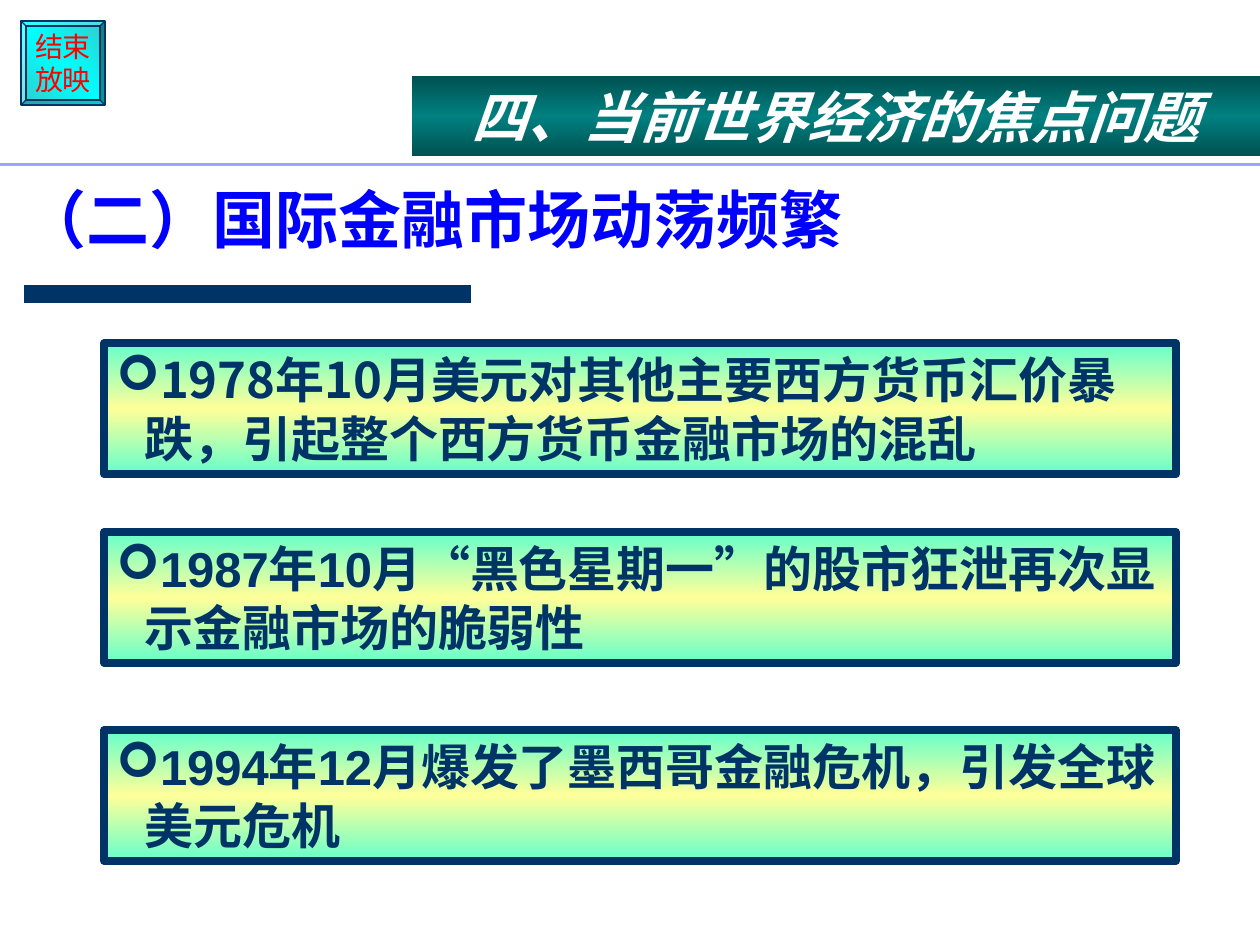
import copy
from dataclasses import dataclass

import pptx
import pptx.dml.color
import pptx.enum.shapes
import pptx.enum.text
import pptx.oxml
import pptx.oxml.ns
import pptx.util

Pt = pptx.util.Pt
Shape = pptx.enum.shapes.MSO_SHAPE
Align = pptx.enum.text.PP_ALIGN
Anchor = pptx.enum.text.MSO_ANCHOR
qn = pptx.oxml.ns.qn


@dataclass(frozen=True)
class Theme:
    navy: str = "003366"
    blue: str = "0000FF"
    red: str = "FF0000"
    white: str = "FFFFFF"
    rule: str = "9BA4FD"
    event_fill: tuple = ("66FFCC", "FFFF99", "66FFCC")
    banner_fill: tuple = ("005151", "008080", "005151")
    button_fill: tuple = ("33CCCC", "00FFFF", "33CCCC")
    cjk: str = "Noto Sans CJK SC"
    latin: str = "Arial"
    heading: int = 36
    banner: int = 32
    event: int = 28
    button: int = 16


THEME = Theme()


def rgb(color):
    return pptx.dml.color.RGBColor.from_string(color)


def write_text(shape, text, *, size, color, font=THEME.cjk, bold=True, italic=False,
               align=Align.LEFT, anchor=Anchor.TOP, wrap=True, before=0, spacing=None):
    frame = shape.text_frame
    frame.auto_size = pptx.enum.text.MSO_AUTO_SIZE.NONE
    frame.word_wrap = wrap
    frame.vertical_anchor = anchor
    frame.margin_left = frame.margin_right = Pt(7.2)
    frame.margin_top = frame.margin_bottom = Pt(3.6)
    frame.text = text
    for paragraph in frame.paragraphs:
        paragraph.alignment = align
        paragraph.space_before = Pt(before)
        paragraph.line_spacing = spacing
        for run in paragraph.runs:
            run.font.name = font
            run.font.size = Pt(size)
            run.font.bold = bold
            run.font.italic = italic
            run.font.color.rgb = rgb(color)
            east_asian = pptx.oxml.parse_xml(
                f'<a:ea {pptx.oxml.ns.nsdecls("a")} typeface="{THEME.cjk}"/>')
            run.font._element.find(qn("a:latin")).addnext(east_asian)


def add_bullet(paragraph, char, color, indent):
    properties = paragraph._p.get_or_add_pPr()
    properties.set("marL", str(Pt(indent)))
    properties.set("indent", str(-Pt(indent)))
    namespace = pptx.oxml.ns.nsdecls("a")
    for xml in (f'<a:buClr {namespace}><a:srgbClr val="{color}"/></a:buClr>',
                f'<a:buFont {namespace} typeface="Wingdings"/>',
                f'<a:buChar {namespace} char="{char}"/>'):
        properties.append(pptx.oxml.parse_xml(xml))


def add_gradient_shape(slide, kind, left, top, width, height, colors, angle=90,
                       line=None, line_width=0):
    shape = slide.shapes.add_shape(kind, Pt(left), Pt(top), Pt(width), Pt(height))
    shape.shadow.inherit = False
    shape.fill.gradient()
    shape.fill.gradient_angle = angle
    first_stop = shape._element.spPr.find(".//" + qn("a:gs"))
    first_stop.addnext(copy.deepcopy(first_stop))
    for stop, position, color in zip(shape.fill.gradient_stops, (0, 0.5, 1), colors):
        stop.position = position
        stop.color.rgb = rgb(color)
    if line:
        shape.line.color.rgb = rgb(line)
        shape.line.width = Pt(line_width)
    else:
        shape.line.fill.background()
    return shape


def add_rule(slide, left, right, y, color, width):
    rule = slide.shapes.add_connector(pptx.enum.shapes.MSO_CONNECTOR.STRAIGHT,
                                      Pt(left), Pt(y), Pt(right), Pt(y))
    rule.line.color.rgb = rgb(color)
    rule.line.width = Pt(width)
    rule._element.spPr.append(
        pptx.oxml.parse_xml(f'<a:effectLst {pptx.oxml.ns.nsdecls("a")}/>'))


def add_end_button(slide):
    button = add_gradient_shape(slide, Shape.BEVEL, 12, 12, 48, 48, THEME.button_fill,
                                angle=225, line=THEME.navy, line_width=0.75)
    button.adjustments[0] = 0.06
    write_text(button, "结束\n放映", size=THEME.button, color=THEME.red, font=THEME.latin,
               bold=False, align=Align.CENTER, anchor=Anchor.MIDDLE, wrap=False)


def add_heading(slide, text):
    heading = slide.shapes.title
    heading.left, heading.top = Pt(6), Pt(72)
    heading.width, heading.height = Pt(708.5), Pt(78.5)
    write_text(heading, text, size=THEME.heading, color=THEME.blue,
               anchor=Anchor.BOTTOM, spacing=0.9)


def add_banner(slide, text):
    banner = add_gradient_shape(slide, Shape.RECTANGLE, 235.5, 43.5, 484.5, 45.75,
                                THEME.banner_fill)
    write_text(banner, text, size=THEME.banner, color=THEME.white, italic=True,
               align=Align.CENTER, before=20)


def add_event(slide, top, text, font, before):
    event = add_gradient_shape(slide, Shape.RECTANGLE, 59.5, top, 612.5, 74.75,
                               THEME.event_fill, line=THEME.navy, line_width=4.5)
    write_text(event, text, size=THEME.event, color=THEME.navy, font=font, before=before)
    add_bullet(event.text_frame.paragraphs[0], "➢", THEME.navy, indent=16)


def main():
    deck = pptx.Presentation()
    deck.slide_width, deck.slide_height = Pt(720), Pt(540)
    slide = deck.slides.add_slide(deck.slide_layouts[5])

    add_rule(slide, 14, 269, 168, THEME.navy, 10)
    add_end_button(slide)
    add_heading(slide, "（二）国际金融市场动荡频繁")
    add_banner(slide, "四、当前世界经济的焦点问题")
    add_rule(slide, 0, 720, 94.25, THEME.rule, 1.75)

    events = (
        (196.25, "1978年10月美元对其他主要西方货币汇价暴跌，引起整个西方货币金融市场的混乱",
         THEME.cjk, 17.5),
        (304, "1987年10月“黑色星期一”的股市狂泄再次显示金融市场的脆弱性", THEME.latin, 7),
        (417.25, "1994年12月爆发了墨西哥金融危机，引发全球美元危机", THEME.latin, 7),
    )
    for event in events:
        add_event(slide, *event)

    deck.save("out.pptx")


if __name__ == "__main__":
    main()
